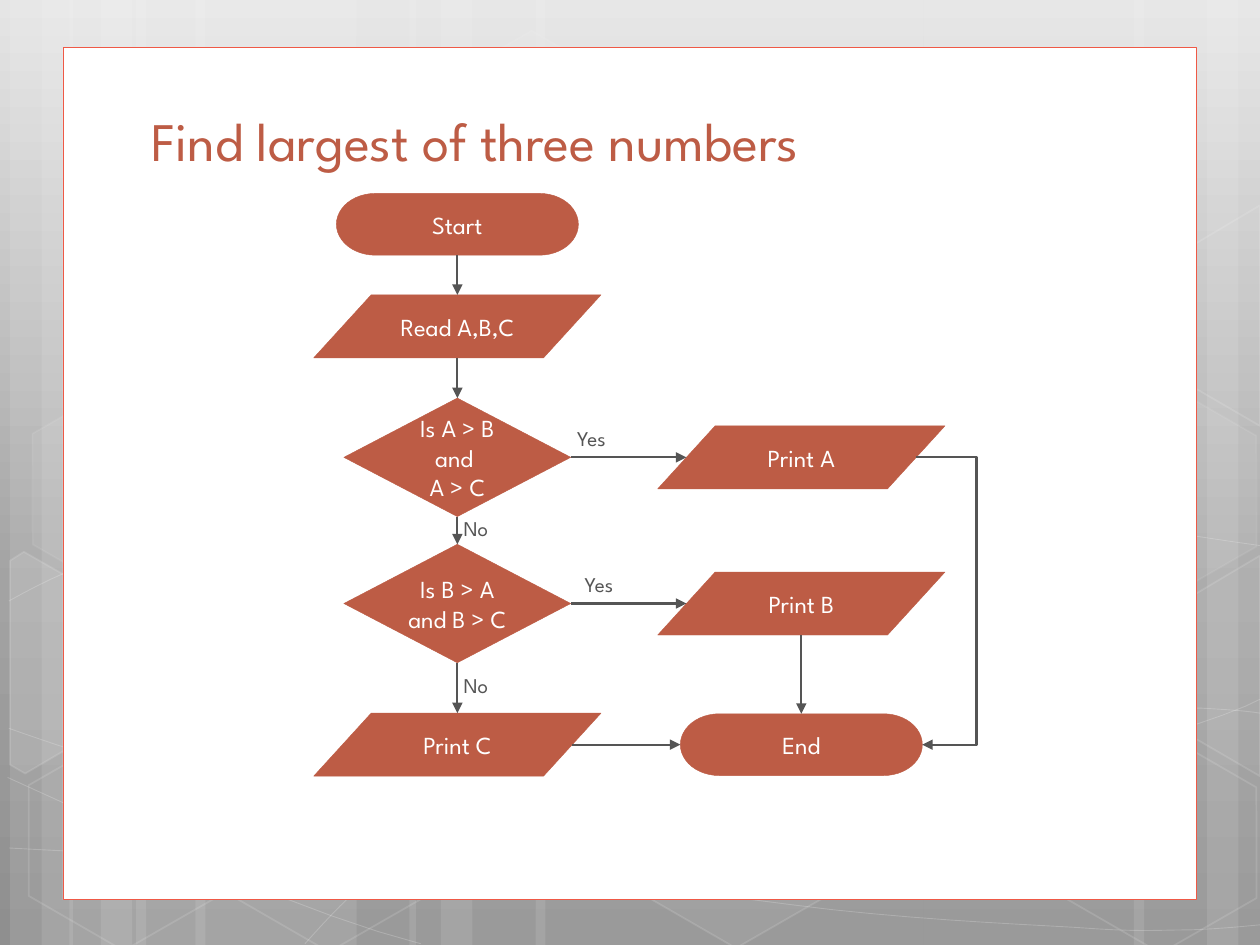
from lxml import etree
from copy import deepcopy
from pptx import Presentation
from pptx import util as u
from pptx.dml.color import RGBColor
from pptx.enum import shapes as s, text as t
from pptx.oxml.ns import qn

INK = {"panel": "FFFFFF", "edge": "EF5946", "node": "BD5C45",
       "text": "FFFFFF", "line": "555555", "glow": "FFFFFF"}
SKY = [(0, "E5E5E5"), (0.62, "A3A3A3"), (1, "8F8F8F")]
FACE = "League Spartan"
PAD = u.Inches(0.05)
FRAME = {"word_wrap": True, "auto_size": t.MSO_AUTO_SIZE.NONE,
         "margin_left": PAD, "margin_right": PAD,
         "margin_top": PAD, "margin_bottom": PAD}
MID, LOW, TOP = (t.MSO_ANCHOR.MIDDLE, t.MSO_ANCHOR.BOTTOM, t.MSO_ANCHOR.TOP)
LEFT, CENTER = t.PP_ALIGN.LEFT, t.PP_ALIGN.CENTER
KIND = s.MSO_SHAPE

# Backdrop parts: left and width of bands, hexagon corners, cut hexagons, curves
BANDS = [(1.08, 1.75), (0.08, 0.5), (0.33, 0.83), (1.55, 1.75), (0.55, 0.5),
         (0.8, 0.83), (7.33, 1.75), (9.58, 0.42), (9, 0.83), (4.25, 3.08),
         (3.25, 0.5), (3.5, 0.83)]
HEXES = [(3.34, 0.36, 4, 8), (4.97, 5.89, 6, 12), (0.11, 5.91, 0, 12),
         (0.14, 3.12, 7, 8), (1.74, 5.92, 0, 12), (7.53, 4.53, 10, 12),
         (8.34, 5.93, 0, 12), (8.34, 3.14, 7, 8)]
CUTS = [([(0.08, 4.45), (0.19, 4.38), (0.96, 4.82), (0.95, 5.7), (0.2, 6.14), (0.08, 6.07)], 10),
        ([(9.26, 4.85), (10, 4.41), (10, 6.16), (9.26, 5.73)], 4),
        ([(9.26, 2.07), (10, 1.63), (10, 3.38), (9.26, 2.95)], 0)]
CURVES = [
    [(0.07, 6.73), (0.61, 6.76), (1.15, 6.79), (1.9, 6.78), (2.65, 6.77), (3.58, 6.75),
     (4.58, 6.65), (5.58, 6.55), (7, 6.36), (7.92, 6.17), (8.83, 5.98), (9.77, 5.68), (10, 5.55)],
    [(0.07, 4.77), (0.36, 4.61), (0.65, 4.46), (1.21, 4.31), (1.78, 4.16), (2.59, 3.94),
     (3.47, 3.87), (4.36, 3.8), (5.44, 3.79), (6.54, 3.87), (7.64, 3.95), (9.47, 4.26), (10, 4.33)],
    [(0.06, 6.17), (1.27, 6.72), (2.47, 7.27), (3.34, 7.49)],
    [(0.07, 5.78), (0.38, 5.89), (0.7, 6), (1.28, 6.16), (1.86, 6.31), (2.73, 6.56),
     (3.57, 6.73), (4.4, 6.9), (5.45, 7.08), (6.28, 7.18), (7.11, 7.29), (8, 7.33),
     (8.53, 7.36), (9.05, 7.4), (9.19, 7.38), (9.45, 7.38), (9.71, 7.37), (9.89, 7.35), (10, 7.34)],
    [(2.42, 7.49), (2.6, 7.29), (2.78, 7.09), (3.02, 6.91), (3.26, 6.73), (3.6, 6.53),
     (3.88, 6.39), (4.16, 6.25), (4.33, 6.19), (4.7, 6.09), (5.06, 5.99), (5.73, 5.85),
     (6.08, 5.78), (6.44, 5.71), (6.49, 5.71), (6.8, 5.69), (7.11, 5.66), (7.6, 5.63),
     (7.94, 5.62), (8.29, 5.61), (8.86, 5.62), (9.53, 5.62), (9.71, 5.63), (9.88, 5.64), (10, 5.66)]]


def rgb(key):
    return RGBColor.from_string(INK[key])


def fade(node, pct):
    for clr in node.iter(qn("a:srgbClr")):
        etree.SubElement(clr, qn("a:alpha"), val=str(pct * 1000))


def paint(shape, fill=None, line=None, width=0.25, veil=100, mist=100):
    """Set fill and line; veil and mist are their opacities in percent."""
    shape.shadow.inherit = False
    prop = shape._element.spPr
    if fill and veil:
        shape.fill.solid()
        shape.fill.fore_color.rgb = rgb(fill)
        if veil < 100:
            fade(prop.find(qn("a:solidFill")), veil)
    else:
        shape.fill.background()
    if line:
        shape.line.color.rgb = rgb(line)
        shape.line.width = u.Pt(width)
        if mist < 100:
            fade(prop.find(qn("a:ln")), mist)
    else:
        shape.line.fill.background()


def write(shape, lines, size, ink, anchor, align):
    frame = shape.text_frame
    for key, val in {**FRAME, "vertical_anchor": anchor, "text": "\n".join(lines)}.items():
        setattr(frame, key, val)
    for para in frame.paragraphs:
        para.alignment = align
        font = para.runs[0].font
        for key, val in {"name": FACE, "size": u.Pt(size)}.items():
            setattr(font, key, val)
        font.color.rgb = rgb(ink)


def block(slide, kind, *box):
    return slide.shapes.add_shape(kind, *map(u.Inches, box))


def outline(slide, pts, close):
    pts = [(u.Inches(x), u.Inches(y)) for x, y in pts]
    pen = slide.shapes.build_freeform(*pts[0])
    pen.add_line_segments(pts[1:], close=close)
    return pen.convert_to_shape()


def bend(pts, steps=8):
    """Points along a chain of cubic curves."""
    out = [pts[0]]
    for i in range(0, len(pts) - 3, 3):
        for k in range(1, steps + 1):
            f = k / steps
            mix = ((1 - f) ** 3, 3 * f * (1 - f) ** 2, 3 * f * f * (1 - f), f ** 3)
            out.append(tuple(sum(m * p[d] for m, p in zip(mix, pts[i:i + 4])) for d in (0, 1)))
    return out


def head(shape):
    etree.SubElement(shape._element.spPr.find(qn("a:ln")), qn("a:tailEnd"), type="triangle")


def backdrop(slide, x, y, high):
    # Grey gradient
    fill = slide.background.fill
    fill.gradient()
    fill.gradient_angle = 270
    stops = fill._fill._gradFill.find(qn("a:gsLst"))
    stops.append(deepcopy(stops[0]))
    for stop, (pos, tone) in zip(fill.gradient_stops, SKY):
        stop.position = pos
        stop.color.rgb = RGBColor.from_string(tone)
    # Bands, curves and hexagons
    for left, wide in BANDS:
        paint(block(slide, KIND.RECTANGLE, x + left, y, wide, high), "glow", veil=10)
    for pts in CURVES:
        arc = outline(slide, [(x + a, y + b) for a, b in bend(pts)], False)
        paint(arc, None, "glow", 0.5, mist=20)
    for left, top, veil, mist in HEXES:
        cell = block(slide, KIND.HEXAGON, x + left, y + top, 1.75, 1.52)
        cell.adjustments[0] = 0.29
        cell.rotation = 30
        paint(cell, "glow", "glow", 1, veil, mist)
    for pts, veil in CUTS:
        cut = outline(slide, [(x + a, y + b) for a, b in pts], True)
        paint(cut, "glow", "glow", 1, veil, 12)


def panel(slide, x, y, wide, high):
    paint(block(slide, KIND.RECTANGLE, x, y, wide, high), "panel", "edge", 0.5)
    # Title, brought in front of the panel
    title = slide.shapes.title
    title._element.getparent().append(title._element)
    spots = {"left": x + 0.65, "top": y + 0.41, "width": wide - 1.15, "height": 0.63}
    for key, val in spots.items():
        setattr(title, key, u.Inches(val))
    write(title, ["Find largest of three numbers"], 31, "node", LOW, LEFT)


def chart(slide, x, y):
    """Flowchart with its top left corner at x, y."""
    main, side = x + 1.14, x + 3.87
    rows = [y + d for d in (0.24, 1.05, 2.09, 3.25, 4.37)]
    forms = {"cap": (KIND.FLOWCHART_TERMINATOR, 1.92, 0.49),
             "data": (KIND.FLOWCHART_DATA, 2.28, 0.5),
             "test": (KIND.FLOWCHART_DECISION, 1.8, 0.94)}
    nodes = {}
    for name, form, mid, row, lines in [
            ("start", "cap", main, 0, ["Start"]),
            ("read", "data", main, 1, ["Read A,B,C"]),
            ("askA", "test", main, 2, ["Is A > B and ", "A > C"]),
            ("askB", "test", main, 3, ["Is B > A and B > C"]),
            ("outC", "data", main, 4, ["Print C"]),
            ("outA", "data", side, 2, ["Print A"]),
            ("outB", "data", side, 3, ["Print B"]),
            ("end", "cap", side, 4, ["End"])]:
        kind, wide, high = forms[form]
        node = block(slide, kind, mid - wide / 2, rows[row] - high / 2, wide, high)
        paint(node, "node", "node")
        write(node, lines, 14, "text", MID, CENTER)
        nodes[name] = node

    def port(name, site):
        """Middle of a side: 0 top, 1 left, 2 bottom, 3 right."""
        n = nodes[name]
        slant = n.width // 10 if n.auto_shape_type == KIND.FLOWCHART_DATA else 0
        return [(n.left + n.width // 2, n.top),
                (n.left + slant, n.top + n.height // 2),
                (n.left + n.width // 2, n.top + n.height),
                (n.left + n.width - slant, n.top + n.height // 2)][site]

    # Straight arrows, joined where the shape has four plain sides
    for a, out, b, into in [("start", 2, "read", 0), ("read", 2, "askA", 0),
                            ("askA", 3, "outA", 1), ("askA", 2, "askB", 0),
                            ("askB", 3, "outB", 1), ("askB", 2, "outC", 0),
                            ("outC", 3, "end", 1), ("outB", 2, "end", 0)]:
        link = slide.shapes.add_connector(s.MSO_CONNECTOR.STRAIGHT, *port(a, out), *port(b, into))
        for name, site, join in ((a, out, link.begin_connect), (b, into, link.end_connect)):
            if nodes[name].auto_shape_type != KIND.FLOWCHART_DATA:
                join(nodes[name], site)
        link.line.color.rgb = rgb("line")
        link.line.width = u.Pt(1.25)
        head(link)
        etree.SubElement(link._element.spPr, qn("a:effectLst"))

    # Bent arrow from Print A to End
    turn = x + 5.26
    path = [(side + 0.91, rows[2]), (turn, rows[2]), (turn, rows[4]), (side + 0.96, rows[4])]
    bent = outline(slide, path, False)
    paint(bent, None, "line", 1.25)
    head(bent)

    # Branch labels
    for word, dx, dy in [("Yes", 2.04, 1.79), ("No", 1.14, 2.5),
                         ("Yes", 2.1, 2.95), ("No", 1.14, 3.75)]:
        tag = slide.shapes.add_textbox(*map(u.Inches, (x + dx, y + dy, 0.52, 0.31)))
        write(tag, [word], 12, "line", TOP, LEFT)


def main():
    deck = Presentation()
    deck.slide_width, deck.slide_height = u.Inches(10), u.Inches(7.5)
    slide = deck.slides.add_slide(deck.slide_layouts[5])
    backdrop(slide, 0, 0, 7.5)
    panel(slide, 0.5, 0.38, 9, 6.76)
    chart(slide, 2.49, 1.54)
    deck.save("out.pptx")


if __name__ == "__main__":
    main()
